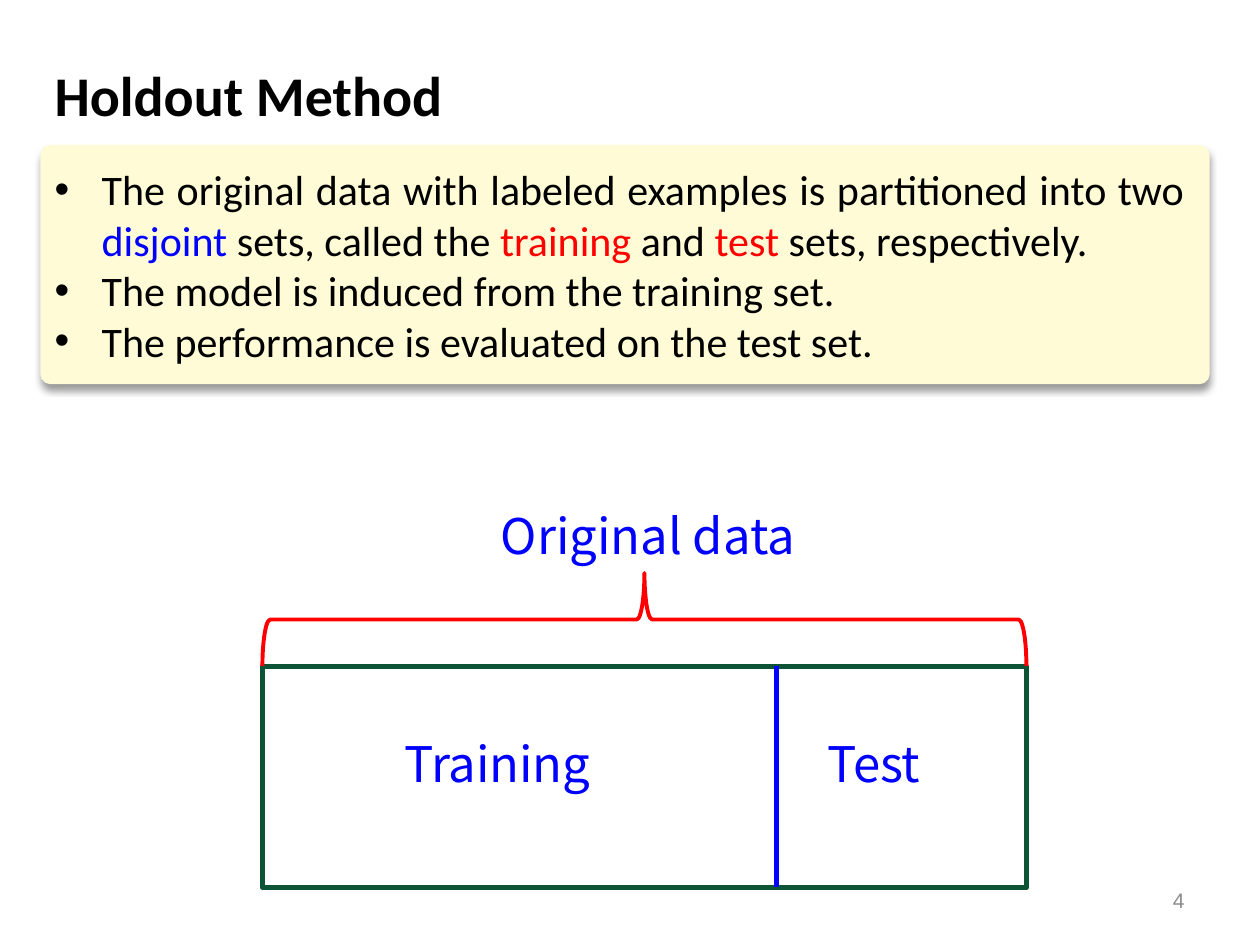
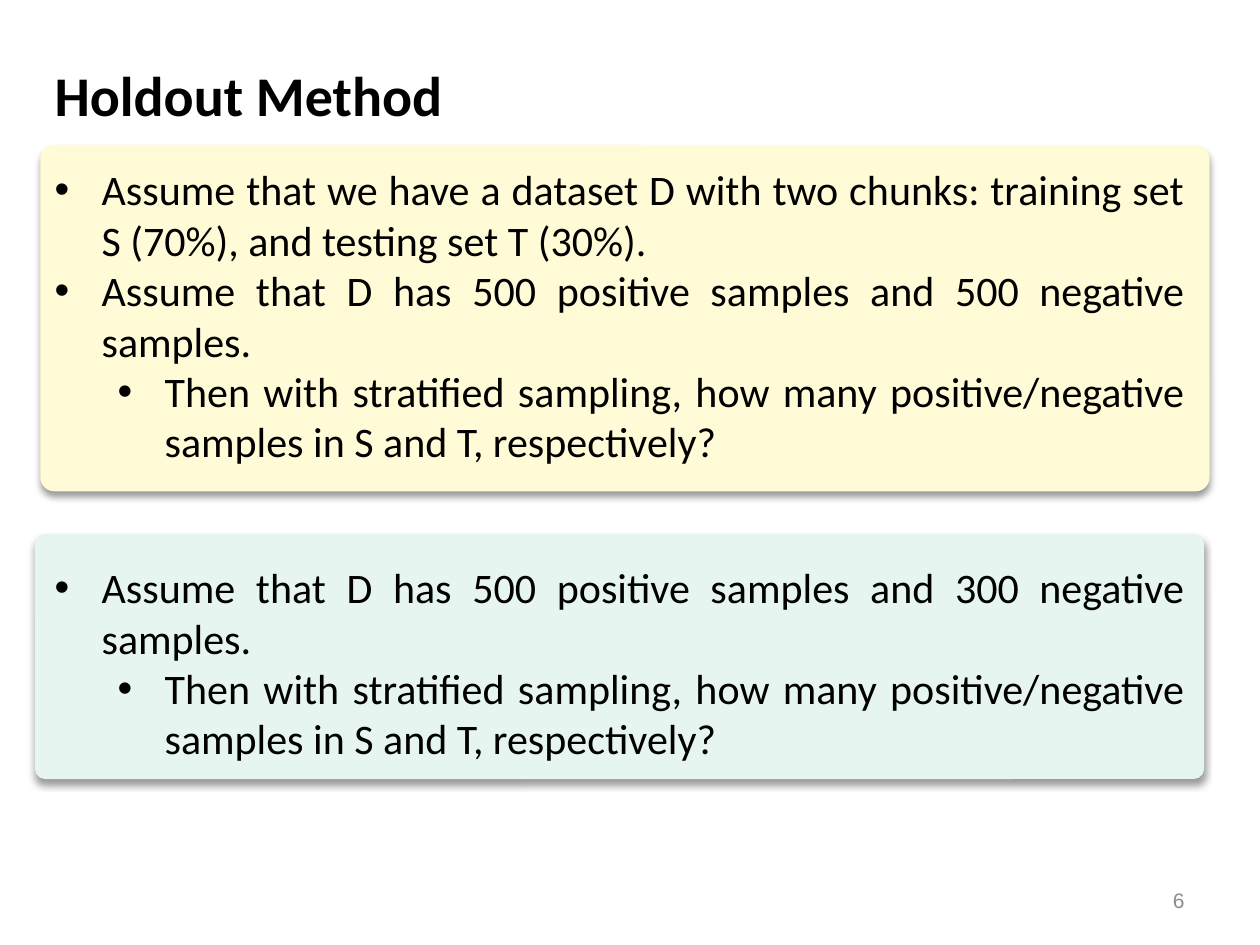
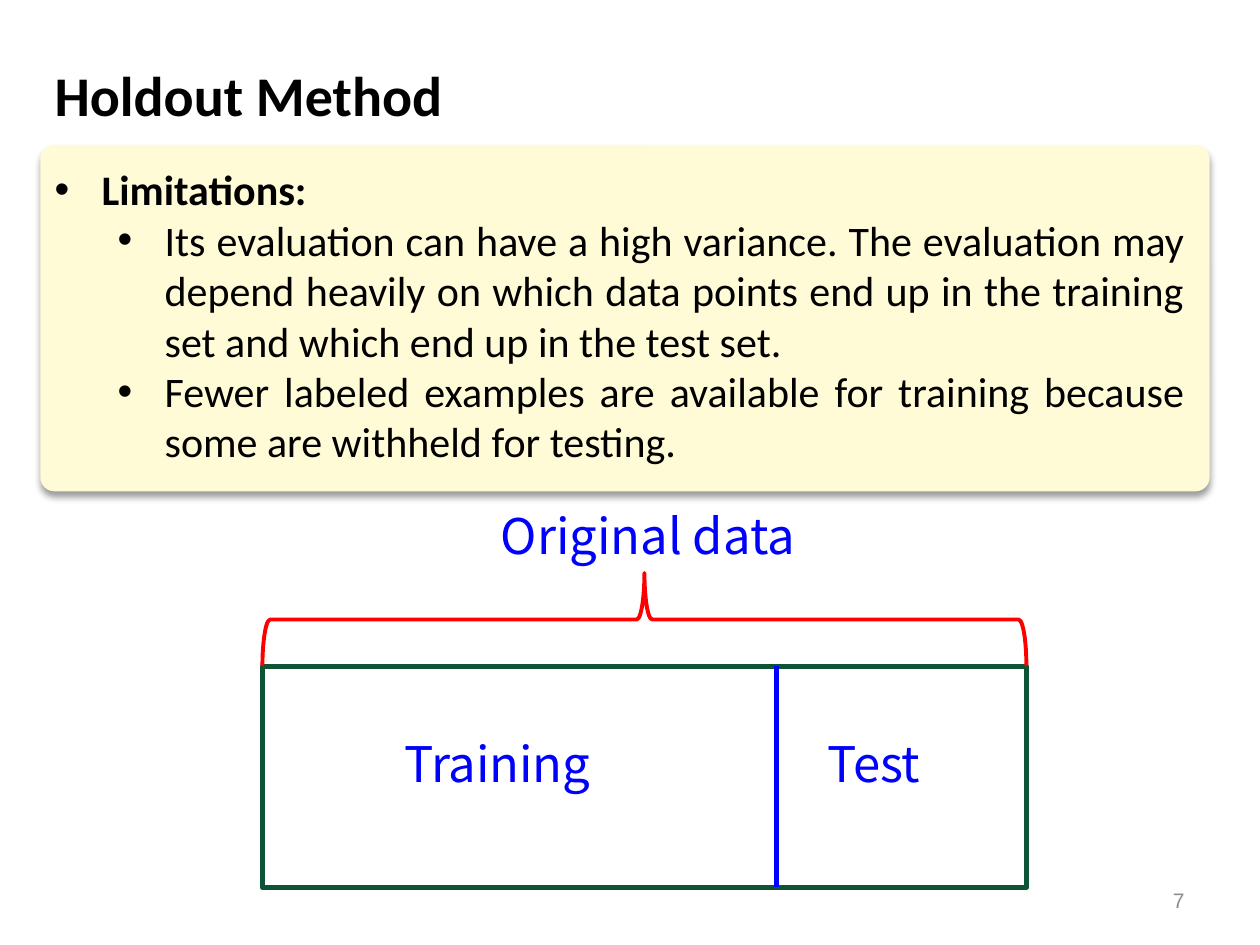
import pptx
import pptx.util
import pptx.dml.color
import pptx.enum.shapes
import pptx.enum.text
import pptx.oxml
import pptx.oxml.ns

Cm, Pt = pptx.util.Cm, pptx.util.Pt
SHAPE = pptx.enum.shapes.MSO_SHAPE
ALIGN = pptx.enum.text.PP_ALIGN
BLACK, GRAY, BLUE, RED, GREEN = "000000", "8C8C8C", "0000FF", "FF0000", "0D5436"
CREAM, MINT = "FFFBD6", "E6F5F0"
NS = pptx.oxml.ns.nsdecls("a")
SHADOW = (f'<a:outerShdw {NS} blurRad="{Pt(4)}" dist="{Pt(3)}" dir="5400000" rotWithShape="0">'
          '<a:srgbClr val="000000"><a:alpha val="40000"/></a:srgbClr></a:outerShdw>')


def rgb(value):
    return pptx.dml.color.RGBColor.from_string(value)


def text(s, box, paras, size=24, font="Calibri", color=BLACK, bold=False, align=ALIGN.LEFT,
         spacing=None, wrap=True, grow=True, inset=True, middle=False, bullets=False):
    sp = s.shapes.add_textbox(*[Cm(v) for v in box])
    tf = sp.text_frame
    tf.word_wrap = wrap
    if grow:
        tf.auto_size = pptx.enum.text.MSO_AUTO_SIZE.SHAPE_TO_FIT_TEXT
    if middle:
        tf.vertical_anchor = pptx.enum.text.MSO_ANCHOR.MIDDLE
    if not inset:
        tf.margin_left = tf.margin_right = tf.margin_top = tf.margin_bottom = 0
    for i, (level, runs) in enumerate(paras):
        p = tf.add_paragraph() if i else tf.paragraphs[0]
        p.alignment = align
        p.level = level
        if spacing:
            p.line_spacing = spacing
        if bullets:
            pPr = p._p.get_or_add_pPr()
            pPr.set("marL", str(Cm(0.95 + 1.27 * level)))
            pPr.set("indent", str(-Cm(0.95)))
            pPr.append(pptx.oxml.parse_xml(f'<a:buFont {NS} typeface="Arial"/>'))
            pPr.append(pptx.oxml.parse_xml(f'<a:buChar {NS} char="•"/>'))
        for words, run_color, run_bold in runs:
            r = p.add_run()
            r.text = words
            r.font.size = Pt(size)
            r.font.name = font
            r.font.bold = run_bold or bold
            r.font.color.rgb = rgb(run_color or color)
    return sp


partition = [
    (0, [("The original data with labeled examples is partitioned into two ", None, False),
         ("disjoint", BLUE, False), (" sets, called the ", None, False),
         ("training", RED, False), (" and ", None, False), ("test", RED, False),
         (" sets, respectively.", None, False)]),
    (0, [("The model is induced from the training set.", None, False)]),
    (0, [("The performance is evaluated on the test set.", None, False)]),
]
question = (1, [("Then with stratified sampling, how many positive/negative samples in S and T, "
                 "respectively?", None, False)])
balanced = [
    (0, [("Assume that we have a dataset D with two chunks: training set S (70%), "
          "and testing set T (30%).", None, False)]),
    (0, [("Assume that D has 500 positive samples and 500 negative samples.", None, False)]),
    question,
]
unbalanced = [
    (0, [("Assume that D has 500 positive samples and 300 negative samples.", None, False)]),
    question,
]
limitations = [
    (0, [("Limitations:", None, True)]),
    (1, [("Its evaluation can have a high variance. The evaluation may depend heavily on which "
          "data points end up in the training set and which end up in the test set.", None, False)]),
    (1, [("Fewer labeled examples are available for training because some are withheld "
          "for testing.", None, False)]),
]

short_card, tall_card = (0.85, 2.96, 23.5, 4.75), (0.85, 2.96, 23.5, 6.91)
mint_card = (0.74, 10.8, 23.5, 4.87)
short_body, tall_body = (0.85, 3.18, 23.28, 4.36), (0.85, 3.18, 23.28, 6.4)
mint_body = (0.85, 11.2, 23.28, 4.36)
slides = [
    ("4", [(short_card, CREAM, short_body, partition)], True),
    ("6", [(tall_card, CREAM, tall_body, balanced),
           (mint_card, MINT, mint_body, unbalanced)], False),
    ("7", [(tall_card, CREAM, tall_body, limitations)], True),
]
labels = [
    ("Training", (8.15, 15.02, 4.1, 0.96)),
    ("Test", (16.68, 15.02, 2.16, 0.96)),
    ("Original data", (10.1, 10.42, 6.2, 0.96)),
]
left, top, width, height = 5.29, 13.43, 15.4, 4.46
split, depth = 15.66, 1.88

prs = pptx.Presentation()
prs.slide_width, prs.slide_height = Cm(25.4), Cm(19.05)

for number, cards, has_diagram in slides:
    s = prs.slides.add_slide(prs.slide_layouts[6])
    text(s, (0.85, 0.42, 8.41, 2.12), [(0, [("Holdout Method", None, True)])],
         size=32, spacing=1.5, wrap=False)
    text(s, (18.2, 17.65, 5.93, 1.01), [(0, [(number, None, False)])], size=12, font="Arial",
         color=GRAY, align=ALIGN.RIGHT, grow=False, middle=True)

    for card, fill, body, paras in cards:
        sp = s.shapes.add_shape(SHAPE.ROUNDED_RECTANGLE, *[Cm(v) for v in card])
        sp.adjustments[0] = 0.036
        sp.fill.solid()
        sp.fill.fore_color.rgb = rgb(fill)
        sp.line.color.rgb = rgb(fill)
        sp.line.width = Pt(2)
        sp.shadow.inherit = False
        effects = sp._element.spPr.find(pptx.oxml.ns.qn("a:effectLst"))
        effects.append(pptx.oxml.parse_xml(SHADOW))
        sp = text(s, body, paras, align=ALIGN.JUSTIFY, bullets=True)
        if fill == MINT:
            sp.fill.solid()
            sp.fill.fore_color.rgb = rgb(fill)
            sp.line.color.rgb = rgb(fill)
            sp.line.width = Pt(0.75)

    if has_diagram:
        data = s.shapes.add_shape(SHAPE.RECTANGLE, Cm(left), Cm(top), Cm(width), Cm(height))
        divider = s.shapes.add_connector(pptx.enum.shapes.MSO_CONNECTOR.STRAIGHT,
                                         Cm(split), Cm(top), Cm(split), Cm(top + height))
        brace = s.shapes.add_shape(SHAPE.LEFT_BRACE, Cm(left + (width - depth) / 2),
                                   Cm(top - (depth + width) / 2), Cm(depth), Cm(width))
        brace.rotation = 90
        for sp, color, weight in [(data, GREEN, 3), (divider, BLUE, 3), (brace, RED, 2.25)]:
            sp.line.color.rgb = rgb(color)
            sp.line.width = Pt(weight)
        for sp in (data, brace):
            sp.fill.background()
            sp.shadow.inherit = False
        divider._element.spPr.append(pptx.oxml.parse_xml(f"<a:effectLst {NS}/>"))
        for label, box in labels:
            text(s, box, [(0, [(label, None, False)])], size=28, font="Noto Sans CJK SC",
                 color=BLUE, spacing=Pt(26.9), wrap=False, inset=False)

prs.save("out.pptx")
